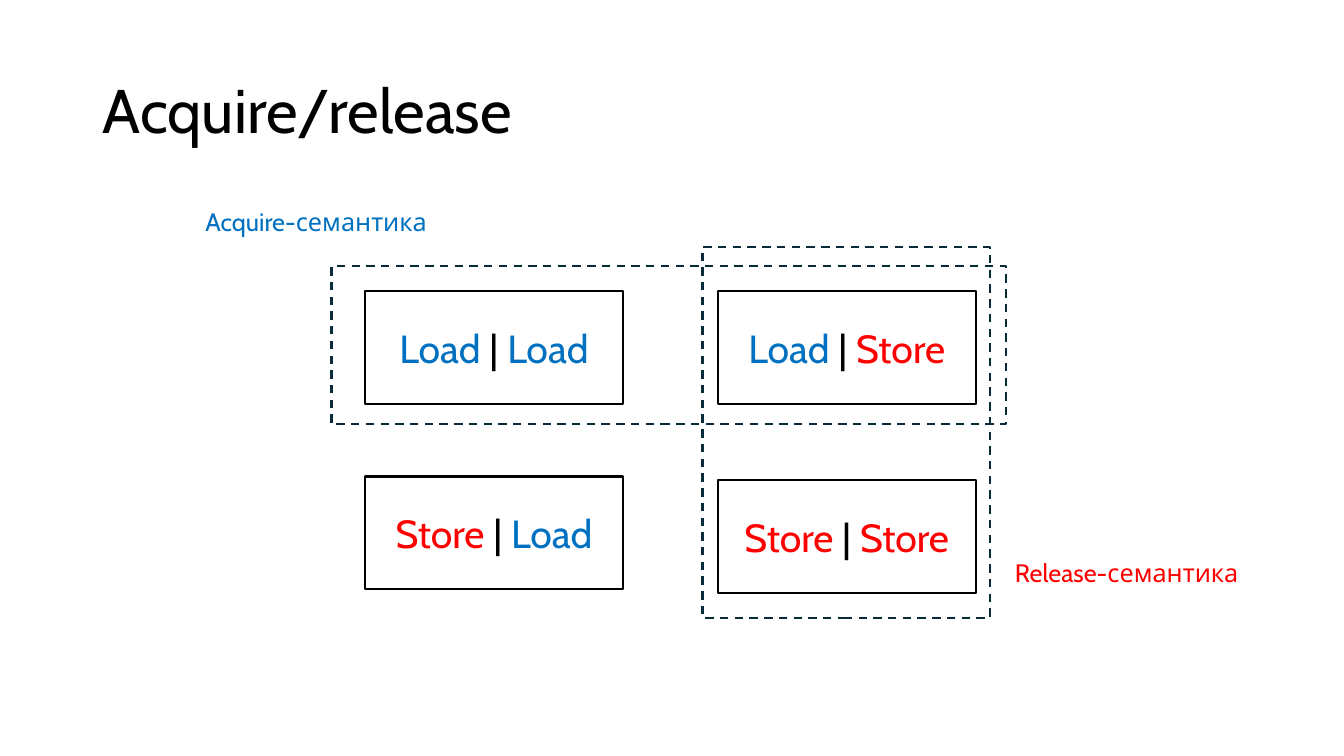
from pptx import Presentation
from pptx.dml.color import RGBColor
from pptx.enum.dml import MSO_LINE
from pptx.enum.shapes import MSO_SHAPE
from pptx.enum.text import MSO_ANCHOR, MSO_AUTO_SIZE, PP_ALIGN
from pptx.util import Inches, Pt

BLACK = RGBColor(0x00, 0x00, 0x00)
WHITE = RGBColor(0xFF, 0xFF, 0xFF)
BLUE = RGBColor(0x00, 0x70, 0xC0)
RED = RGBColor(0xFF, 0x00, 0x00)
NAVY = RGBColor(0x09, 0x2A, 0x39)

RECT = MSO_SHAPE.RECTANGLE
DASH = MSO_LINE.DASH
MIDDLE = MSO_ANCHOR.MIDDLE
LEFT, CENTER = PP_ALIGN.LEFT, PP_ALIGN.CENTER
FIXED, GROW = MSO_AUTO_SIZE.NONE, MSO_AUTO_SIZE.SHAPE_TO_FIT_TEXT

LOAD = ("Load", BLUE)
STORE = ("Store", RED)
BAR = (" | ", BLACK)


class Deck:
    font = "Cabin"
    stroke = Pt(1.5)

    def __init__(self):
        self.prs = Presentation()
        self.prs.slide_width = Inches(13.33)
        self.prs.slide_height = Inches(7.5)
        self.slide = self.prs.slides.add_slide(self.prs.slide_layouts[5])

    def area(self, left, top, width, height):
        """Turn percent shares of the slide into lengths."""
        across = self.prs.slide_width / 100
        down = self.prs.slide_height / 100
        return (int(left * across), int(top * down),
                int(width * across), int(height * down))

    def add_runs(self, frame, runs, size, align=LEFT):
        para = frame.paragraphs[0]
        para.alignment = align
        for text, color in runs:
            run = para.add_run()
            run.text = text
            run.font.name = self.font
            run.font.size = Pt(size)
            run.font.color.rgb = color
        return para

    def title(self, text, *share):
        shape = self.slide.shapes.title
        shape.left, shape.top, shape.width, shape.height = self.area(*share)
        frame = shape.text_frame
        frame.auto_size = FIXED
        frame.vertical_anchor = MIDDLE
        self.add_runs(frame, [(text, BLACK)], 44).line_spacing = 0.9

    def rect(self, color, *share):
        shape = self.slide.shapes.add_shape(RECT, *self.area(*share))
        shape.shadow.inherit = False
        shape.line.color.rgb = color
        shape.line.width = self.stroke
        return shape

    def card(self, runs, *share):
        shape = self.rect(BLACK, *share)
        shape.fill.solid()
        shape.fill.fore_color.rgb = WHITE
        shape.text_frame.vertical_anchor = MIDDLE
        self.add_runs(shape.text_frame, runs, 28, CENTER)

    def frame(self, *share):
        shape = self.rect(NAVY, *share)
        shape.fill.background()
        shape.line.dash_style = DASH

    def label(self, text, color, *share):
        box = self.slide.shapes.add_textbox(*self.area(*share))
        box.text_frame.word_wrap = True
        box.text_frame.auto_size = GROW
        self.add_runs(box.text_frame, [(text, color)], 18)


def main():
    deck = Deck()
    deck.title("Acquire/release", 6.9, 5.33, 86.25, 19.33)

    cards = [
        (0, 0, LOAD, LOAD),
        (1, 0, LOAD, STORE),
        (0, 1, STORE, LOAD),
        (1, 1.02, STORE, STORE),
    ]
    for col, row, first, second in cards:
        deck.card([first, BAR, second],
                  27.15 + col * 26.25, 38.53 + row * 24.5, 19.2, 14.93)

    deck.frame(24.67, 35.2, 50.18, 20.93)
    deck.frame(52.27, 32.67, 21.38, 49.07)

    deck.label("Acquire-семантика", BLUE, 14.55, 26.67, 20.03, 5.33)
    deck.label("Release-семантика", RED, 74.78, 73.07, 19.58, 5.33)

    deck.prs.save("out.pptx")


if __name__ == "__main__":
    main()
